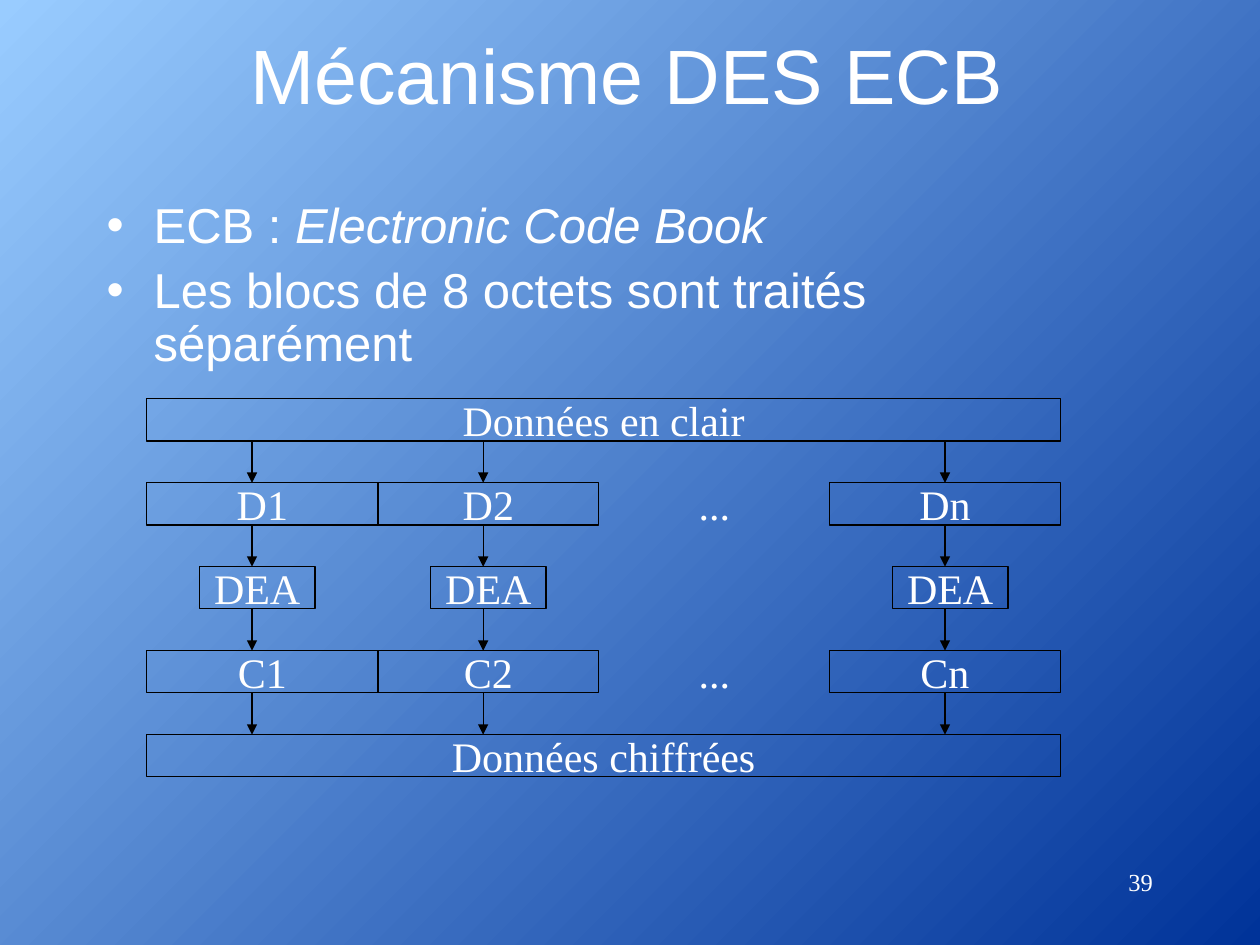
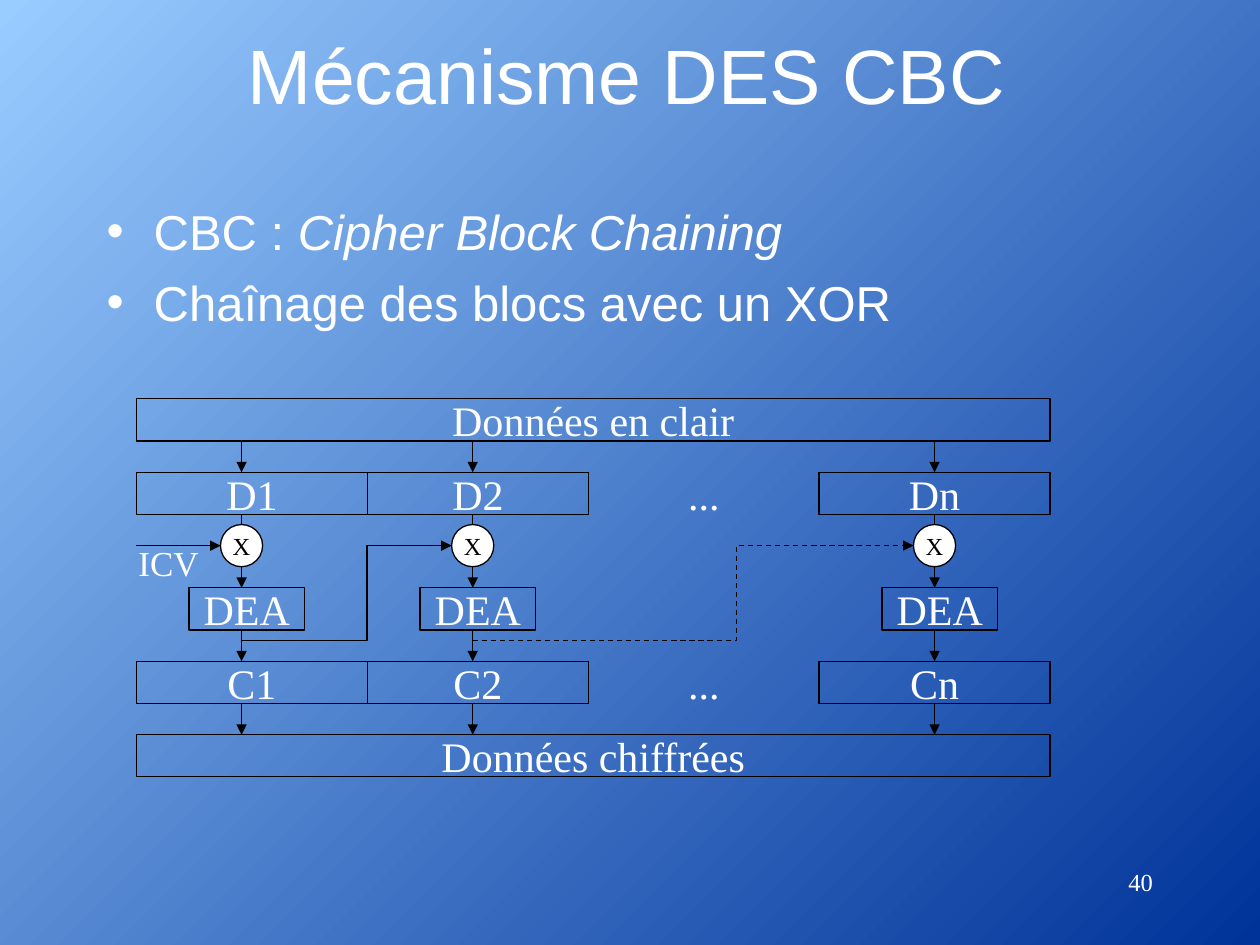
from dataclasses import dataclass
from itertools import pairwise

from lxml import etree
from pptx import Presentation
from pptx import util as u
from pptx.dml.color import RGBColor
from pptx.enum import dml, shapes, text
from pptx.oxml import ns


@dataclass(frozen=True)
class Theme:
    dark: RGBColor = RGBColor.from_string("003399")
    light: RGBColor = RGBColor.from_string("99CCFF")
    ink: RGBColor = RGBColor.from_string("FFFFFF")
    line: RGBColor = RGBColor.from_string("000000")
    sans: str = "Arial"
    serif: str = "Times New Roman"
    title: int = 44
    body: int = 28
    block: int = 24
    label: int = 20
    small: int = 14
    line_width: float = 0.75


@dataclass(frozen=True)
class Box:
    left: float
    top: float
    width: float
    height: float

    def lengths(self):
        return [u.Cm(value) for value in (self.left, self.top, self.width, self.height)]

    def inner(self, left, top, width, height):
        return Box(self.left + left, self.top + top, width, height)


THEME = Theme()
TITLE_BOX = Box(1.78, 0.64, 21.72, 1.69)
BODY_BOX = Box(1.9, 3.81, 21.17, 3.89)
NUMBER_BOX = Box(18.2, 17.36, 5.29, 1.27)
ECB_BOX = Box(2.96, 8.04, 18.42, 7.62)
CBC_BOX = Box(2.75, 8.04, 18.42, 7.62)

BLOCK_HEIGHT = 0.85
CELL_WIDTH = 4.66
SECOND_WIDTH = 4.45
DEA_WIDTH = 2.33
DEA_OFFSET = 1.06
FLOW_X = (2.12, 6.78, 16.09)
CBC_PITCH = 1.48
XOR_Y = 2.96
FEEDBACK_Y = 4.87
JOIN_TOLERANCE = u.Cm(0.05)


def style_runs(paragraph, size, font_name, color=THEME.ink):
    for run in paragraph.runs:
        run.font.size = u.Pt(size)
        run.font.name = font_name
        run.font.color.rgb = color


def write(shape, words, size, font_name, align, color=THEME.ink, wrap=True, middle=True):
    frame = shape.text_frame
    frame.text = words
    frame.word_wrap = wrap
    frame.vertical_anchor = text.MSO_ANCHOR.MIDDLE if middle else text.MSO_ANCHOR.TOP
    frame.paragraphs[0].alignment = align
    style_runs(frame.paragraphs[0], size, font_name, color)


def style_line(shape, arrow=False, dashed=False):
    shape.line.color.rgb = THEME.line
    shape.line.width = u.Pt(THEME.line_width)
    if dashed:
        shape.line.dash_style = dml.MSO_LINE.DASH
    if arrow:
        outline = shape.element.spPr.find(ns.qn("a:ln"))
        etree.SubElement(outline, ns.qn("a:tailEnd"), type="triangle")


def add_block(group, box, words):
    shape = group.add_shape(shapes.MSO_SHAPE.RECTANGLE, *box.lengths())
    shape.shadow.inherit = False
    shape.fill.background()
    style_line(shape)
    write(shape, words, THEME.block, THEME.serif, text.PP_ALIGN.CENTER, wrap=False)
    return shape


def add_dots(group, box):
    shape = group.add_textbox(*box.lengths())
    write(shape, "...", THEME.block, THEME.serif, text.PP_ALIGN.CENTER, wrap=False)


def add_arrow(group, begin_x, begin_y, end_x, end_y):
    connector = group.add_connector(
        shapes.MSO_CONNECTOR.STRAIGHT, begin_x, begin_y, end_x, end_y
    )
    style_line(connector, arrow=True)
    etree.SubElement(connector.element.spPr, ns.qn("a:effectLst"))
    return connector


def add_flow(group, upper, lower, x):
    connector = add_arrow(group, x, upper.top + upper.height, x, lower.top)

    def is_middle(shape):
        return abs(shape.left + shape.width // 2 - x) < JOIN_TOLERANCE

    if is_middle(upper):
        connector.begin_connect(upper, 2)
    if is_middle(lower):
        connector.end_connect(lower, 0)


def add_cells(group, box, top, letter):
    last_left = box.width - CELL_WIDTH
    columns = ((0, CELL_WIDTH, "1"), (CELL_WIDTH, SECOND_WIDTH, "2"), (last_left, CELL_WIDTH, "n"))
    add_dots(group, box.inner(CELL_WIDTH + SECOND_WIDTH, top, CELL_WIDTH, BLOCK_HEIGHT))
    return [
        add_block(group, box.inner(left, top, width, BLOCK_HEIGHT), letter + index)
        for left, width, index in columns
    ]


def add_cipher_diagram(slide, box, row_tops):
    group = slide.shapes.add_group_shape().shapes
    clear_top, data_top, dea_top, cipher_top, result_top = row_tops

    def add_bar(top, words):
        return add_block(group, box.inner(0, top, box.width, BLOCK_HEIGHT), words)

    clear_bar = add_bar(clear_top, "Données en clair")
    result_bar = add_bar(result_top, "Données chiffrées")
    data_cells = add_cells(group, box, data_top, "D")
    cipher_cells = add_cells(group, box, cipher_top, "C")
    for x, data_cell, cipher_cell in zip(FLOW_X, data_cells, cipher_cells):
        dea_box = box.inner(x - DEA_OFFSET, dea_top, DEA_WIDTH, BLOCK_HEIGHT)
        dea = add_block(group, dea_box, "DEA")
        for upper, lower in pairwise((clear_bar, data_cell, dea, cipher_cell, result_bar)):
            add_flow(group, upper, lower, u.Cm(box.left + x))
    return group


def add_xor(group, box, x):
    radius = BLOCK_HEIGHT / 2
    circle_box = box.inner(x - radius, XOR_Y - radius, BLOCK_HEIGHT, BLOCK_HEIGHT)
    circle = group.add_shape(shapes.MSO_SHAPE.OVAL, *circle_box.lengths())
    circle.shadow.inherit = False
    circle.fill.solid()
    circle.fill.fore_color.rgb = THEME.ink
    style_line(circle)
    write(circle, "X", THEME.small, THEME.serif, text.PP_ALIGN.CENTER, THEME.line, wrap=False)
    return circle


def add_feedback(group, box, begin_x, bend_x, end_x, dashed):
    route = ((begin_x, FEEDBACK_Y), (bend_x, FEEDBACK_Y), (bend_x, XOR_Y), (end_x, XOR_Y))
    points = [(u.Cm(box.left + x), u.Cm(box.top + y)) for x, y in route]
    builder = group.build_freeform(*points[0])
    builder.add_line_segments(points[1:], close=False)
    path = builder.convert_to_shape()
    path.shadow.inherit = False
    path.fill.background()
    style_line(path, arrow=True, dashed=dashed)


def add_chaining(group, box):
    circles = [add_xor(group, box, x) for x in FLOW_X]
    for (begin_x, next_x), bend_x, dashed in zip(pairwise(FLOW_X), (4.65, 12.09), (False, True)):
        add_feedback(group, box, begin_x, bend_x, next_x - BLOCK_HEIGHT / 2, dashed)
    xor_y = u.Cm(box.top + XOR_Y)
    add_arrow(group, u.Cm(box.left), xor_y, circles[0].left, xor_y)
    label = group.add_textbox(*box.inner(-0.21, 2.75, 1.98, 1.12).lengths())
    write(label, "ICV", THEME.label, THEME.serif, text.PP_ALIGN.LEFT, middle=False)


def add_bullets(slide, box, items, line_spacing):
    frame = slide.shapes.add_textbox(*box.lengths()).text_frame
    frame.word_wrap = True
    frame.margin_top = u.Cm(0.25)
    for index, item in enumerate(items):
        paragraph = frame.add_paragraph() if index else frame.paragraphs[0]
        properties = paragraph._p.get_or_add_pPr()
        properties.set("marL", str(u.Cm(0.95)))
        properties.set("indent", str(u.Cm(-0.95)))
        etree.SubElement(properties, ns.qn("a:buFont"), typeface=THEME.sans)
        etree.SubElement(properties, ns.qn("a:buChar"), char="•")
        paragraph.line_spacing = line_spacing
        paragraph.space_before = u.Pt(7 if index else 0)
        for words, italic in item:
            run = paragraph.add_run()
            run.text = words
            run.font.italic = italic
        style_runs(paragraph, THEME.body, THEME.sans)


def add_slide(presentation, title, number, items, line_spacing):
    slide = presentation.slides.add_slide(presentation.slide_layouts[6])
    heading = slide.shapes.add_textbox(*TITLE_BOX.lengths())
    write(heading, title, THEME.title, THEME.sans, text.PP_ALIGN.CENTER)
    add_bullets(slide, BODY_BOX, items, line_spacing)
    footer = slide.shapes.add_textbox(*NUMBER_BOX.lengths())
    write(footer, number, THEME.small, THEME.serif, text.PP_ALIGN.RIGHT, middle=False)
    return slide


def set_background(presentation):
    fill = presentation.slide_master.background.fill
    fill.gradient()
    fill.gradient_angle = 135
    for stop, color in zip(fill.gradient_stops, (THEME.dark, THEME.light)):
        stop.color.rgb = color


def build_ecb(presentation):
    items = (
        (("ECB : ", False), ("Electronic Code Book", True)),
        (("Les blocs de 8 octets sont traités séparément", False),),
    )
    slide = add_slide(presentation, "Mécanisme DES ECB", "39", items, 0.9)
    pitch = (ECB_BOX.height - BLOCK_HEIGHT) / 4
    add_cipher_diagram(slide, ECB_BOX, [pitch * row for row in range(5)])


def build_cbc(presentation):
    items = (
        (("CBC : ", False), ("Cipher Block Chaining", True)),
        (("Chaînage des blocs avec un XOR", False),),
    )
    slide = add_slide(presentation, "Mécanisme DES CBC", "40", items, 1.0)
    last = CBC_BOX.height - BLOCK_HEIGHT
    row_tops = (0, CBC_PITCH, last - 2 * CBC_PITCH, last - CBC_PITCH, last)
    group = add_cipher_diagram(slide, CBC_BOX, row_tops)
    add_chaining(group, CBC_BOX)


def main():
    presentation = Presentation()
    presentation.slide_width = u.Cm(25.4)
    presentation.slide_height = u.Cm(19.05)
    set_background(presentation)
    build_ecb(presentation)
    build_cbc(presentation)
    presentation.save("out.pptx")


if __name__ == "__main__":
    main()
